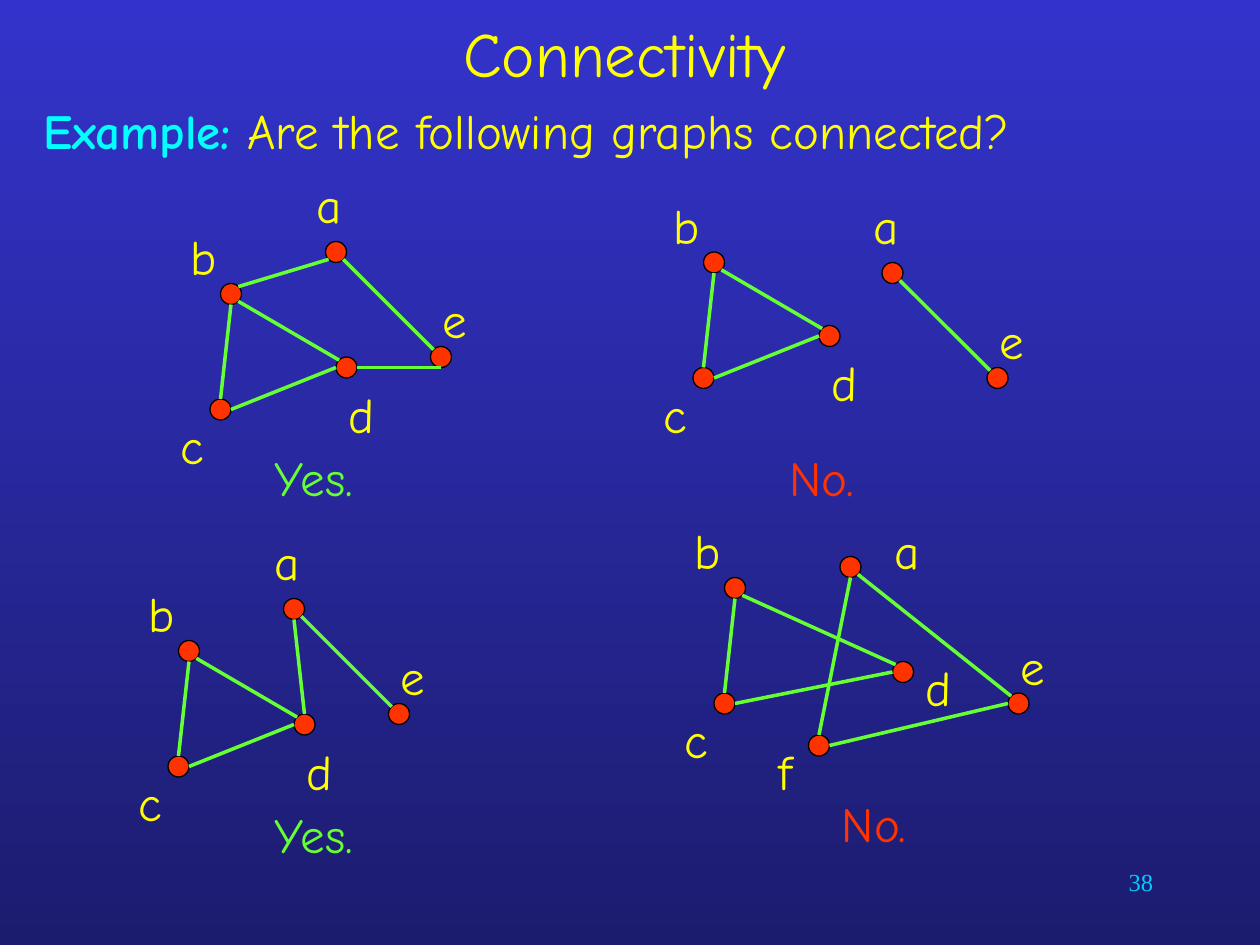
from dataclasses import dataclass

from lxml.etree import SubElement
from pptx import Presentation
from pptx.dml.color import RGBColor
from pptx.enum.shapes import MSO_CONNECTOR, MSO_SHAPE
from pptx.enum.text import MSO_ANCHOR, PP_ALIGN
from pptx.oxml.ns import qn
from pptx.util import Pt


@dataclass(frozen=True)
class Theme:
    bg_top: str = "3333CC"
    bg_bottom: str = "1C1C6F"
    text: str = "FFFF00"
    accent: str = "00FFFF"
    number: str = "00CCFF"
    node: str = "FF3300"
    outline: str = "000000"
    edge: str = "66FF33"
    yes: str = "66FF33"
    no: str = "FF3300"
    font: str = "Comic Neue"
    number_font: str = "Times New Roman"
    title_size: int = 36
    body_size: int = 28
    number_size: int = 14
    edge_width: float = 2
    outline_width: float = 0.75


THEME = Theme()
EMU_PER_PX = 7620
RADIUS = 10
DIAGONAL = 7
LABEL_H = 68

SITES = {
    "N": (0, -RADIUS), "S": (0, RADIUS), "W": (-RADIUS, 0), "E": (RADIUS, 0),
    "NE": (DIAGONAL, -DIAGONAL), "SE": (DIAGONAL, DIAGONAL),
    "SW": (-DIAGONAL, DIAGONAL), "NW": (-DIAGONAL, -DIAGONAL),
}
LABEL_OFFSETS = {
    "a": (-30, -80), "b": (-50, -70), "c": (-50, 0),
    "d": (-10, 10), "e": (-10, -70), "f": (-50, -10),
}
LABEL_WIDTHS = {"a": 80, "b": 40, "c": 50, "d": 80, "e": 80, "f": 50}

SHARED_EDGES = ["d.W c.E", "c.N b.S", "a.SE e.NW", "b.SE d.NW"]
LEFT_NODES = {"a": (160, 80), "b": (60, 120), "c": (50, 230), "d": (170, 190), "e": (260, 180)}
GRAPHS = [
    dict(box=(160, 160), nodes=LEFT_NODES, extra_edges=["d.E e.S", "b.NE a.SW"],
         answer=("Yes.", THEME.yes, 90, 260)),
    dict(box=(620, 180),
         nodes={"a": (230, 80), "b": (60, 70), "c": (50, 180), "d": (170, 140), "e": (330, 180)},
         extra_edges=[], answer=("No.", THEME.no, 120, 240)),
    dict(box=(120, 500), nodes=LEFT_NODES, extra_edges=["d.N a.S"],
         answer=("Yes.", THEME.yes, 130, 260)),
    dict(box=(640, 490),
         nodes={"a": (170, 50), "b": (60, 70), "c": (50, 180), "d": (220, 150),
                "e": (330, 180), "f": (140, 220)},
         extra_edges=["f.N a.S", "f.E e.W"], answer=("No.", THEME.no, 150, 260),
         label_offsets={"a": (30, -50), "d": (10, -20)}),
]


def px(*values):
    return [v * EMU_PER_PX for v in values]


def rgb(color):
    return RGBColor.from_string(color)


def add_text(shapes, box, runs, size=THEME.body_size, font=THEME.font,
             align=PP_ALIGN.LEFT, anchor=MSO_ANCHOR.TOP):
    tf = shapes.add_textbox(*px(*box)).text_frame
    tf.word_wrap = True
    tf.vertical_anchor = anchor
    p = tf.paragraphs[0]
    p.alignment = align
    for text, color, bold in runs:
        r = p.add_run()
        r.text = text
        r.font.name = font
        r.font.size = Pt(size)
        r.font.bold = bold
        r.font.color.rgb = rgb(color)


def add_node(shapes, x, y):
    sp = shapes.add_shape(MSO_SHAPE.FLOWCHART_CONNECTOR,
                          *px(x - RADIUS, y - RADIUS, 2 * RADIUS, 2 * RADIUS))
    sp.shadow.inherit = False
    sp.fill.solid()
    sp.fill.fore_color.rgb = rgb(THEME.node)
    sp.line.color.rgb = rgb(THEME.outline)
    sp.line.width = Pt(THEME.outline_width)


def add_edge(shapes, start, end):
    line = shapes.add_connector(MSO_CONNECTOR.STRAIGHT, *px(*start, *end))
    line.line.color.rgb = rgb(THEME.edge)
    line.line.width = Pt(THEME.edge_width)
    SubElement(line._element.spPr, qn("a:effectLst"))


def add_graph(slide, box, nodes, extra_edges, answer, label_offsets=None):
    left, top = box
    shapes = slide.shapes.add_group_shape().shapes
    centers = {name: (left + x, top + y) for name, (x, y) in nodes.items()}
    offsets = LABEL_OFFSETS | (label_offsets or {})

    def site(ref):
        name, side = ref.split(".")
        return [c + d for c, d in zip(centers[name], SITES[side])]

    for name, (x, y) in centers.items():
        dx, dy = offsets[name]
        add_node(shapes, x, y)
        add_text(shapes, (x + dx, y + dy, LABEL_WIDTHS[name], LABEL_H),
                 [(name, THEME.text, False)])
    for edge in SHARED_EDGES + extra_edges:
        add_edge(shapes, *map(site, edge.split()))

    text, color, x, y = answer
    add_text(slide.shapes, (left + x, top + y, 120, 70), [(text, color, False)])


def add_background(slide):
    fill = slide.background.fill
    fill.gradient()
    fill.gradient_angle = 270
    for stop, color in zip(fill.gradient_stops, (THEME.bg_top, THEME.bg_bottom)):
        stop.color.rgb = rgb(color)


def add_heading(slide, box):
    left, top, width, height = box
    add_text(slide.shapes, (left, top, width, 100), [("Connectivity", THEME.text, False)],
             size=THEME.title_size, align=PP_ALIGN.CENTER, anchor=MSO_ANCHOR.MIDDLE)
    add_text(slide.shapes, (left, top + 90, width + 20, height - 90),
             [("Example:", THEME.accent, True),
              (" Are the following graphs connected?", THEME.text, False)])


def add_slide_number(slide, box):
    add_text(slide.shapes, box, [("38", THEME.number, False)], size=THEME.number_size,
             font=THEME.number_font, align=PP_ALIGN.RIGHT)


def main():
    prs = Presentation()
    prs.slide_width, prs.slide_height = px(1200, 900)
    slide = prs.slides.add_slide(prs.slide_layouts[6])
    add_background(slide)
    add_slide_number(slide, (860, 820, 250, 60))
    add_heading(slide, (30, 0, 1130, 160))
    for graph in GRAPHS:
        add_graph(slide, **graph)
    prs.save("out.pptx")


if __name__ == "__main__":
    main()
